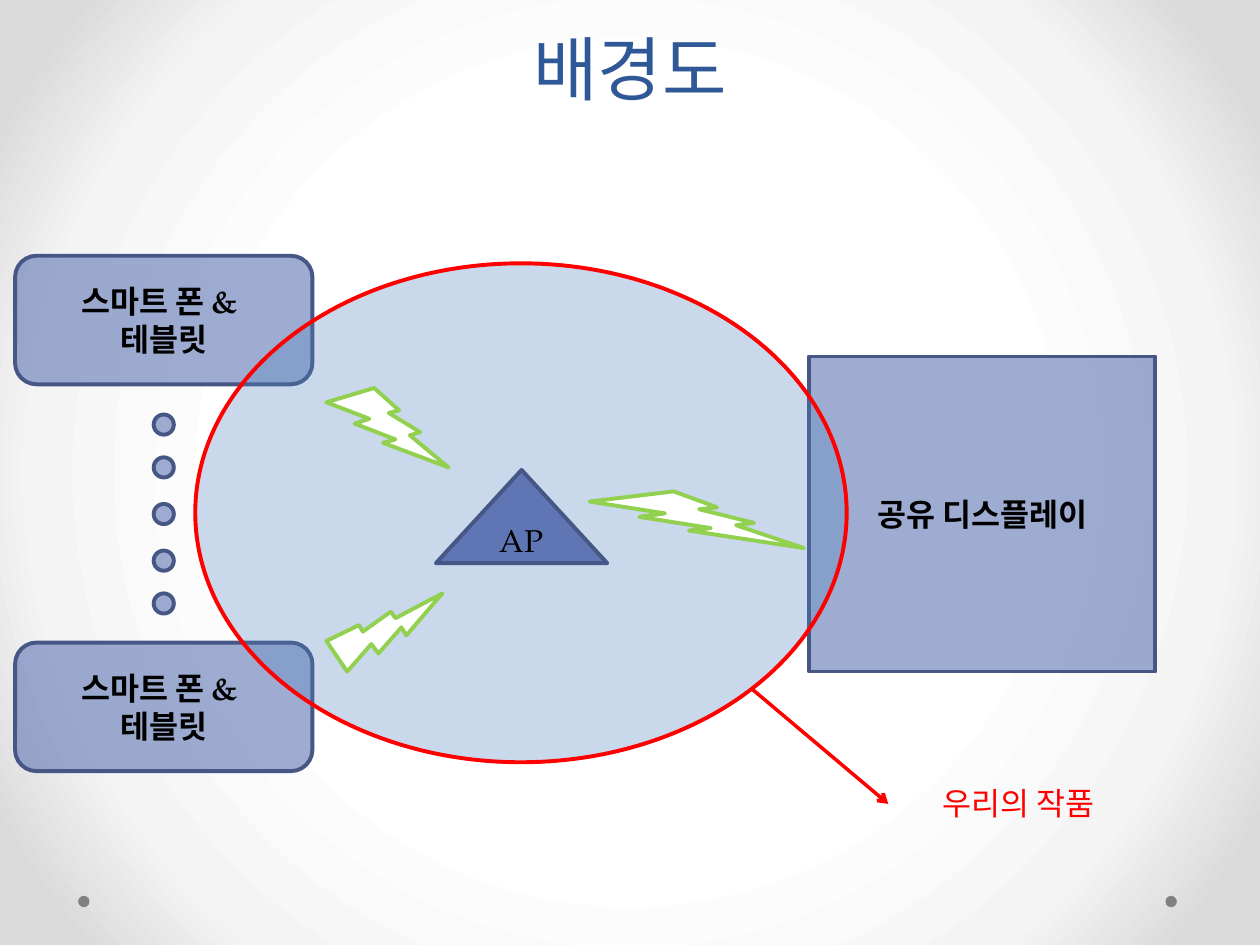
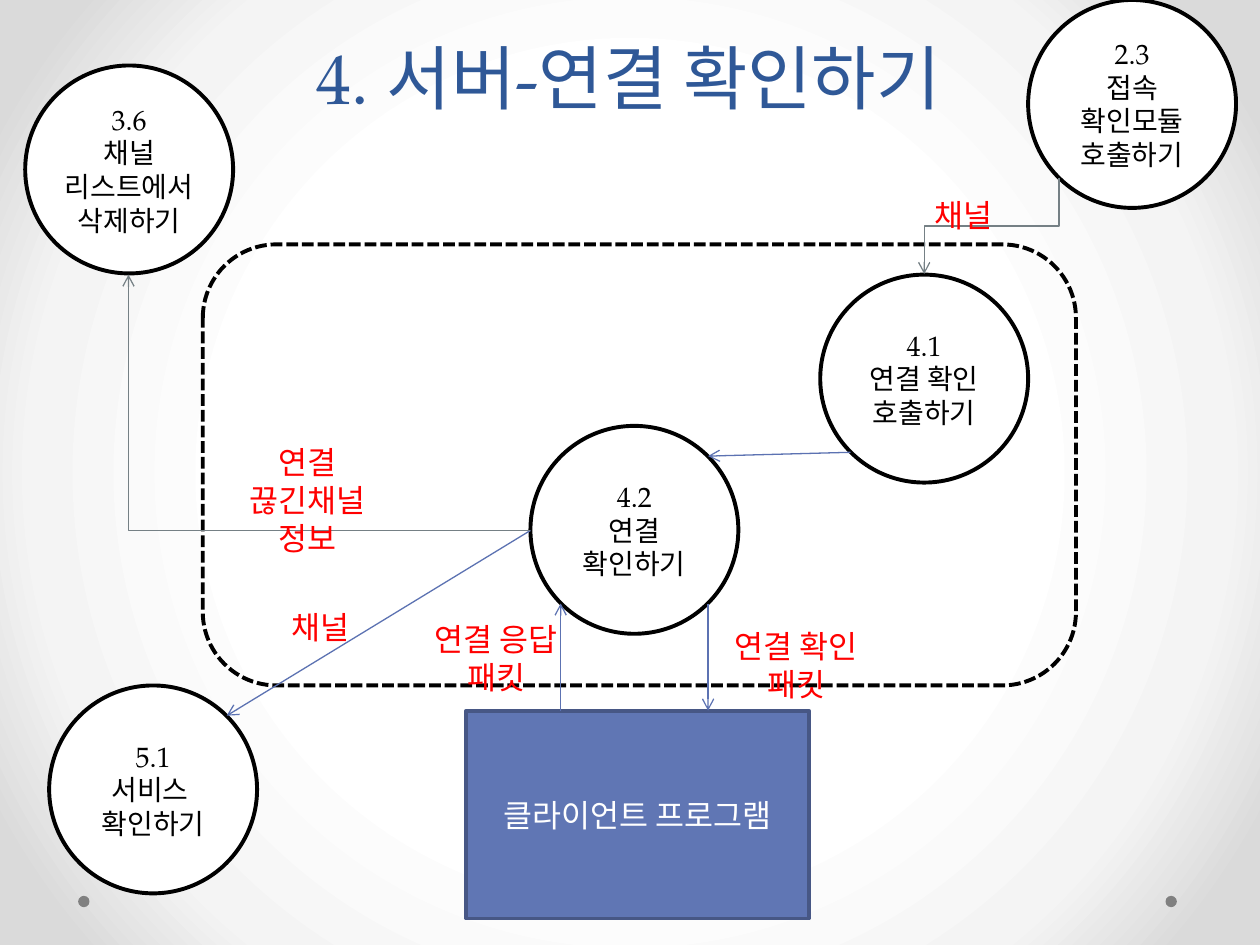
from lxml import etree
from pptx import Presentation
from pptx.dml.color import RGBColor
from pptx.enum.dml import MSO_LINE
from pptx.enum.shapes import MSO_CONNECTOR, MSO_SHAPE
from pptx.enum.text import MSO_ANCHOR, MSO_AUTO_SIZE, PP_ALIGN
from pptx.oxml import parse_xml
from pptx.oxml.ns import nsdecls, qn
from pptx.util import Inches, Pt

CENTER = PP_ALIGN.CENTER
TOP, MIDDLE, BOTTOM = MSO_ANCHOR.TOP, MSO_ANCHOR.MIDDLE, MSO_ANCHOR.BOTTOM
FIT_SHAPE, NO_FIT = MSO_AUTO_SIZE.SHAPE_TO_FIT_TEXT, MSO_AUTO_SIZE.NONE
OVAL, RECTANGLE = MSO_SHAPE.OVAL, MSO_SHAPE.RECTANGLE
ROUNDED, BOLT = MSO_SHAPE.ROUNDED_RECTANGLE, MSO_SHAPE.LIGHTNING_BOLT
TRIANGLE = MSO_SHAPE.FLOWCHART_EXTRACT
STRAIGHT, ELBOW = MSO_CONNECTOR.STRAIGHT, MSO_CONNECTOR.ELBOW
SYSTEM_DASH = MSO_LINE.SQUARE_DOT

FONT = "TeX Gyre Pagella"
COLORS = {
    "title": "2F5897", "box": "6076B4", "box_line": "475785",
    "range": "4F81BD", "red": "FF0000", "green": "92D050",
    "arrow": "5C72B2", "elbow": "758085", "dot": "808080",
    "black": "000000", "white": "FFFFFF",
}
BACKGROUND_STOPS = [(50, "FFFFFF"), (76, "F4F4F4"), (92, "DADADA")]
FOOTER_DOTS = [(0.62, 7.11), (9.25, 7.11)]
FOOTER_DOT_SIZE = 0.09

# Slide 1 content: boxes are left, top, width, height
OVERVIEW_TITLE = ("배경도", (0.5, 0, 9, 0.92))
DEVICE_TEXT = ["스마트 폰 & ", "테블릿"]
DEVICES = [
    (ROUNDED, (0.12, 2.03, 2.36, 1.02), DEVICE_TEXT),
    (ROUNDED, (0.12, 5.1, 2.36, 1.02), DEVICE_TEXT),
    (RECTANGLE, (6.42, 2.83, 2.75, 2.5), ["공유 디스플레이"]),
]
MORE_DOT_LEFT, MORE_DOT_SIZE = 1.22, 0.16
MORE_DOT_TOPS = [3.29, 3.63, 4, 4.37, 4.71]
RANGE_BOX = (1.55, 2.09, 5.17, 3.96)
BOLTS = [
    ((2.59, 3.08, 0.97, 0.63), 0),
    ((4.68, 3.9, 1.7, 0.45), 0),
    ((2.74, 4.56, 0.62, 0.92), 270),
]
ACCESS_POINT = ("AP", (3.46, 3.73, 1.36, 0.74))
WORK_ARROW = ((5.97, 5.47), (7.05, 6.38))
WORK_LABEL = ("우리의 작품", (7.05, 6.06, 2.06, 0.63))

# Slide 2 content
SERVER_TITLE = ("4. 서버-연결 확인하기", (0.49, 0, 9, 0.99))
MODULE_FRAME = (1.61, 1.94, 6.93, 3.5)
CIRCLE_SIZE = 1.65
MODULES = [
    (4.21, 3.38, ["4.2", "연결 확인하기"]),
    (6.51, 2.18, ["4.1", "연결 확인", "호출하기"]),
    (8.16, 0, ["2.3", "접속 확인모듈 호출하기"]),
    (0.2, 0.52, ["3.6", "채널 리스트에서 삭제하기"]),
    (0.39, 5.44, ["5.1", "서비스 ", "확인하기"]),
]
CLIENT = ("클라이언트 프로그램", (3.7, 5.64, 2.72, 1.65))
ARROWS = [
    ((4.45, 5.64), (4.45, 4.79)),
    ((5.62, 4.79), (5.62, 5.64)),
    ((6.75, 3.59), (5.62, 3.62)),
    ((4.21, 4.21), (1.8, 5.68)),
]
# Unrotated box, clockwise degrees, preset geometry
ELBOWS = [
    ((7.49, 1.26, 0.76, 1.07), 90, "bentConnector3"),
    ((1.02, 2.18, 3.19, 2.03), 180, "bentConnector2"),
]
LABEL_WIDTH = 1.5
LABELS = [
    ("연결 응답 패킷", 3.19, 4.87, 0.71),
    ("연결 확인 패킷", 5.57, 4.93, 0.71),
    ("연결 끊긴채널 정보", 1.69, 3.47, 0.71),
    ("채널", 6.9, 1.51, 0.4),
    ("채널", 1.79, 4.78, 0.4),
]


def rgb(name):
    return RGBColor.from_string(COLORS[name])


def lengths(box):
    return [Inches(value) for value in box]


def write_text(shape, lines, size=18, color="black", bold=False,
               anchor=MIDDLE, inset=None, spacing=None, fit=NO_FIT):
    frame = shape.text_frame
    frame.word_wrap = True
    frame.auto_size = fit
    frame.vertical_anchor = anchor
    if inset is not None:
        frame.margin_left = frame.margin_right = Inches(inset)
        frame.margin_top = frame.margin_bottom = Inches(inset)
    for index, line in enumerate(lines):
        paragraph = frame.add_paragraph() if index else frame.paragraphs[0]
        paragraph.alignment = CENTER
        if spacing:
            paragraph.line_spacing = Pt(spacing)
        run = paragraph.add_run()
        run.text = line
        run.font.name = FONT
        run.font.size = Pt(size)
        run.font.bold = bold
        run.font.color.rgb = rgb(color)


def add_shape(slide, kind, box, fill=None, line=None, opacity=100, dash=None):
    shape = slide.shapes.add_shape(kind, *lengths(box))
    shape.shadow.inherit = False
    if fill:
        shape.fill.solid()
        shape.fill.fore_color.rgb = rgb(fill)
        if opacity < 100:
            color = shape.element.spPr.find(qn("a:solidFill"))[0]
            etree.SubElement(color, qn("a:alpha"), val=str(opacity * 1000))
    else:
        shape.fill.background()
    if line:
        shape.line.color.rgb = rgb(line)
        shape.line.width = Pt(2.25)
        if dash:
            shape.line.dash_style = dash
    else:
        shape.line.fill.background()
    return shape


def add_arrow(slide, start, end, color, width=0.75, kind=STRAIGHT):
    connector = slide.shapes.add_connector(kind, *lengths(start + end))
    connector.line.color.rgb = rgb(color)
    connector.line.width = Pt(width)
    properties = connector.element.spPr
    etree.SubElement(properties.find(qn("a:ln")), qn("a:tailEnd"), type="arrow")
    etree.SubElement(properties, qn("a:effectLst"))
    return connector


def add_elbow(slide, box, rotation, geometry):
    left, top, width, height = box
    connector = add_arrow(slide, (left, top), (left + width, top + height),
                          "elbow", kind=ELBOW)
    properties = connector.element.spPr
    properties.find(qn("a:xfrm")).set("rot", str(rotation * 60000))
    properties.find(qn("a:prstGeom")).set("prst", geometry)


def add_label(slide, text, box, **text_format):
    label = slide.shapes.add_textbox(*lengths(box))
    write_text(label, [text], color="red", **text_format)


def add_slide(presentation, text, box):
    slide = presentation.slides.add_slide(presentation.slide_layouts[5])
    title = slide.shapes.title
    title.left, title.top, title.width, title.height = lengths(box)
    write_text(title, [text], size=40, color="title", anchor=BOTTOM, spacing=58)
    return slide


def style_master(presentation, slide):
    """Give the master its radial background and the two footer dots."""
    master = presentation.slide_master
    master.background.fill.solid()
    solid = master.element.xpath("p:cSld/p:bg/p:bgPr/a:solidFill")[0]
    stops = "".join(
        f'<a:gs pos="{position * 1000}"><a:srgbClr val="{color}"/></a:gs>'
        for position, color in BACKGROUND_STOPS)
    solid.getparent().replace(solid, parse_xml(
        f'<a:gradFill {nsdecls("a")} rotWithShape="1"><a:gsLst>{stops}</a:gsLst>'
        '<a:path path="circle"><a:fillToRect l="50000" t="50000" r="50000"'
        ' b="50000"/></a:path></a:gradFill>'))
    for number, (left, top) in enumerate(FOOTER_DOTS, start=20):
        box = (left, top, FOOTER_DOT_SIZE, FOOTER_DOT_SIZE)
        dot = add_shape(slide, OVAL, box, fill="dot")
        dot.element.xpath("p:nvSpPr/p:cNvPr")[0].set("id", str(number))
        master.shapes.element.append(dot.element)


def build_overview(slide):
    # Devices and the dots between them
    glass = {"fill": "box", "line": "box_line", "opacity": 60}
    for kind, box, lines in DEVICES:
        write_text(add_shape(slide, kind, box, **glass), lines, bold=True)
    for top in MORE_DOT_TOPS:
        box = (MORE_DOT_LEFT, top, MORE_DOT_SIZE, MORE_DOT_SIZE)
        add_shape(slide, OVAL, box, **glass)

    # Wireless range, signals and access point
    add_shape(slide, OVAL, RANGE_BOX, fill="range", line="red", opacity=30)
    for box, rotation in BOLTS:
        bolt = add_shape(slide, BOLT, box, fill="white", line="green")
        bolt.rotation = rotation
    add_arrow(slide, *WORK_ARROW, "red", width=2)
    add_label(slide, *WORK_LABEL)
    text, box = ACCESS_POINT
    access_point = add_shape(slide, TRIANGLE, box, fill="box", line="box_line")
    write_text(access_point, [text])


def build_server(slide):
    # Module frame, modules and client
    add_shape(slide, ROUNDED, MODULE_FRAME, line="black", dash=SYSTEM_DASH)
    for left, top, lines in MODULES:
        box = (left, top, CIRCLE_SIZE, CIRCLE_SIZE)
        circle = add_shape(slide, OVAL, box, fill="white", line="black")
        write_text(circle, lines, size=16, inset=0.04)
    text, box = CLIENT
    client = add_shape(slide, RECTANGLE, box, fill="box", line="box_line")
    write_text(client, [text], color="white")

    # Flows and their labels
    for start, end in ARROWS:
        add_arrow(slide, start, end, "arrow")
    for elbow in ELBOWS:
        add_elbow(slide, *elbow)
    for text, left, top, height in LABELS:
        add_label(slide, text, (left, top, LABEL_WIDTH, height),
                  anchor=TOP, fit=FIT_SHAPE)


presentation = Presentation()
presentation.slide_width, presentation.slide_height = Inches(10), Inches(7.5)
overview = add_slide(presentation, *OVERVIEW_TITLE)
style_master(presentation, overview)
build_overview(overview)
build_server(add_slide(presentation, *SERVER_TITLE))
presentation.save("out.pptx")
